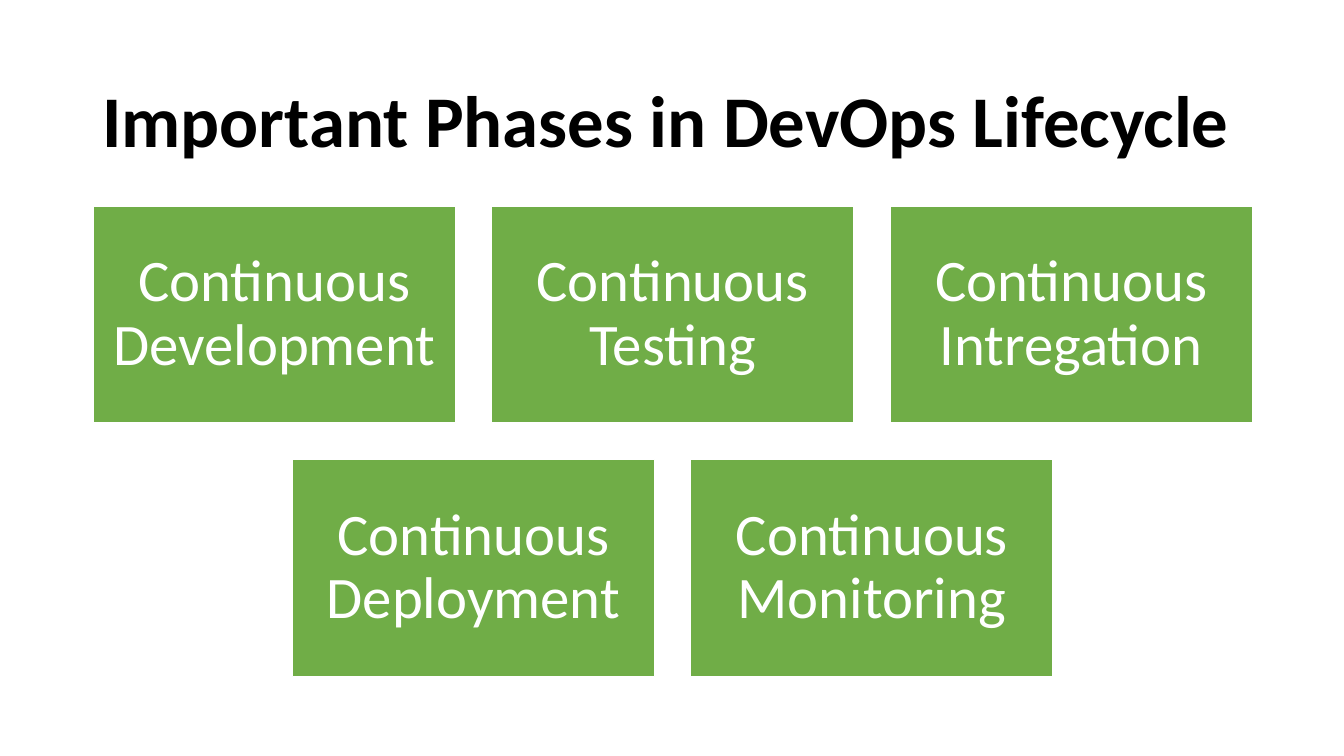
from pptx import Presentation
from pptx.dml.color import RGBColor
from pptx.enum.shapes import MSO_SHAPE as Shape
from pptx.enum.text import MSO_ANCHOR as Anchor, PP_ALIGN as Align
from pptx.util import Pt

BLACK = RGBColor(0x00, 0x00, 0x00)
WHITE = RGBColor(0xFF, 0xFF, 0xFF)
GREEN = RGBColor(0x70, 0xAD, 0x47)
FONT = "Calibri"
PHASE_ROWS = [
    ["Development", "Testing", "Intregation"],
    ["Deployment", "Monitoring"],
]


def write_line(frame, text, size, color, align, bold=False):
    frame.word_wrap = True
    frame.vertical_anchor = Anchor.MIDDLE
    paragraph = frame.paragraphs[0]
    paragraph.alignment = align
    paragraph.line_spacing = 0.9
    run = paragraph.add_run()
    run.text = text
    run.font.name = FONT
    run.font.size = Pt(size)
    run.font.bold = bold
    run.font.color.rgb = color


def add_title(slide, left, top, width, height):
    title = slide.shapes.add_textbox(Pt(left), Pt(top), Pt(width), Pt(height))
    write_line(title.text_frame, "Important Phases in DevOps Lifecycle",
               52, BLACK, Align.LEFT, bold=True)


def add_phase(slide, phase, left, top, width, height):
    card = slide.shapes.add_shape(
        Shape.RECTANGLE, Pt(left), Pt(top), Pt(width), Pt(height))
    card.shadow.inherit = False
    card.fill.solid()
    card.fill.fore_color.rgb = GREEN
    card.line.color.rgb = WHITE
    card.line.width = Pt(1)
    frame = card.text_frame
    frame.margin_left = frame.margin_right = Pt(12.6)
    frame.margin_top = frame.margin_bottom = Pt(12.6)
    write_line(frame, f"Continuous {phase}", 42, WHITE, Align.CENTER)


def add_phase_grid(slide, left, top, width):
    card_width = width / 3.2
    card_height = card_width * 0.6
    gap = card_width * 0.1
    pitch = card_width + gap
    for row, phases in enumerate(PHASE_ROWS):
        row_width = len(phases) * pitch - gap
        row_left = left + (width - row_width) / 2
        row_top = top + row * (card_height + gap)
        for column, phase in enumerate(phases):
            add_phase(slide, phase, row_left + column * pitch, row_top,
                      card_width, card_height)


def main():
    deck = Presentation()
    deck.slide_width, deck.slide_height = Pt(960), Pt(540)
    slide = deck.slides.add_slide(deck.slide_layouts[6])
    add_title(slide, 66, 44, 828, 89)
    add_phase_grid(slide, 66.5, 147, 828)
    deck.save("out.pptx")


if __name__ == "__main__":
    main()
